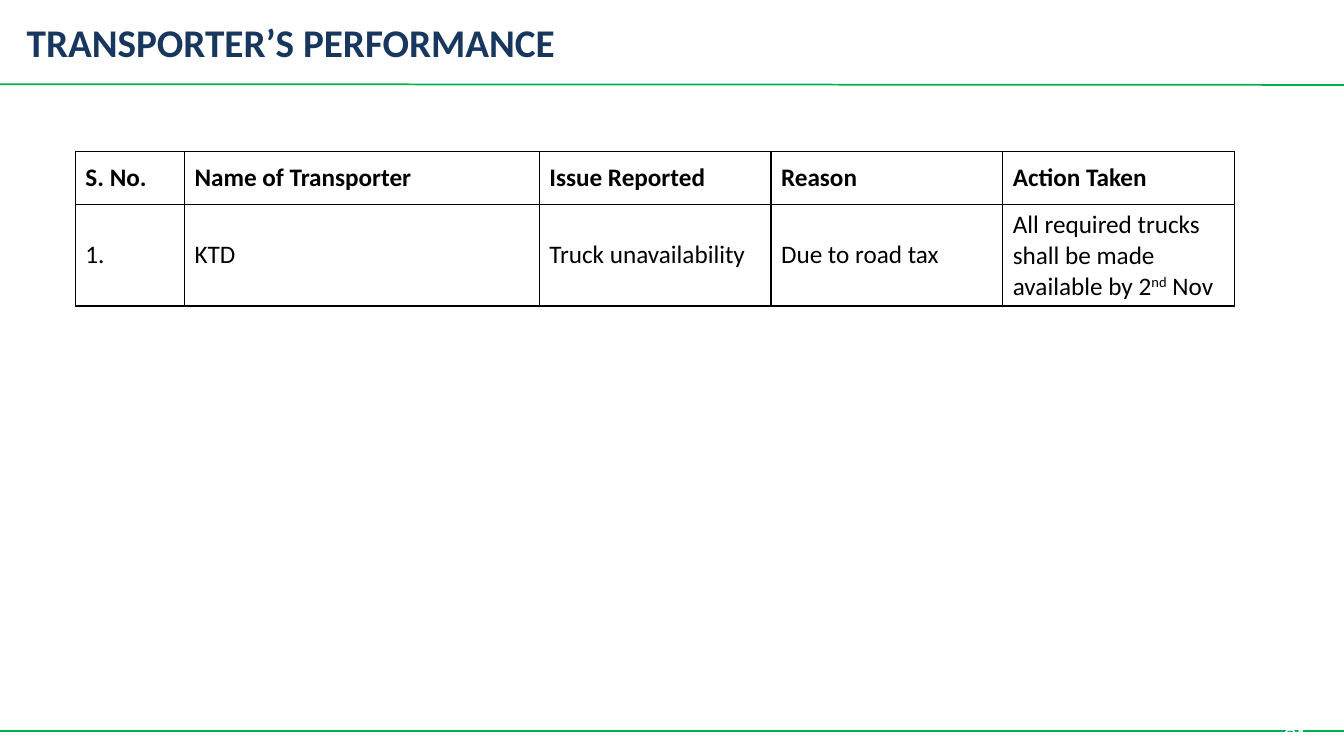
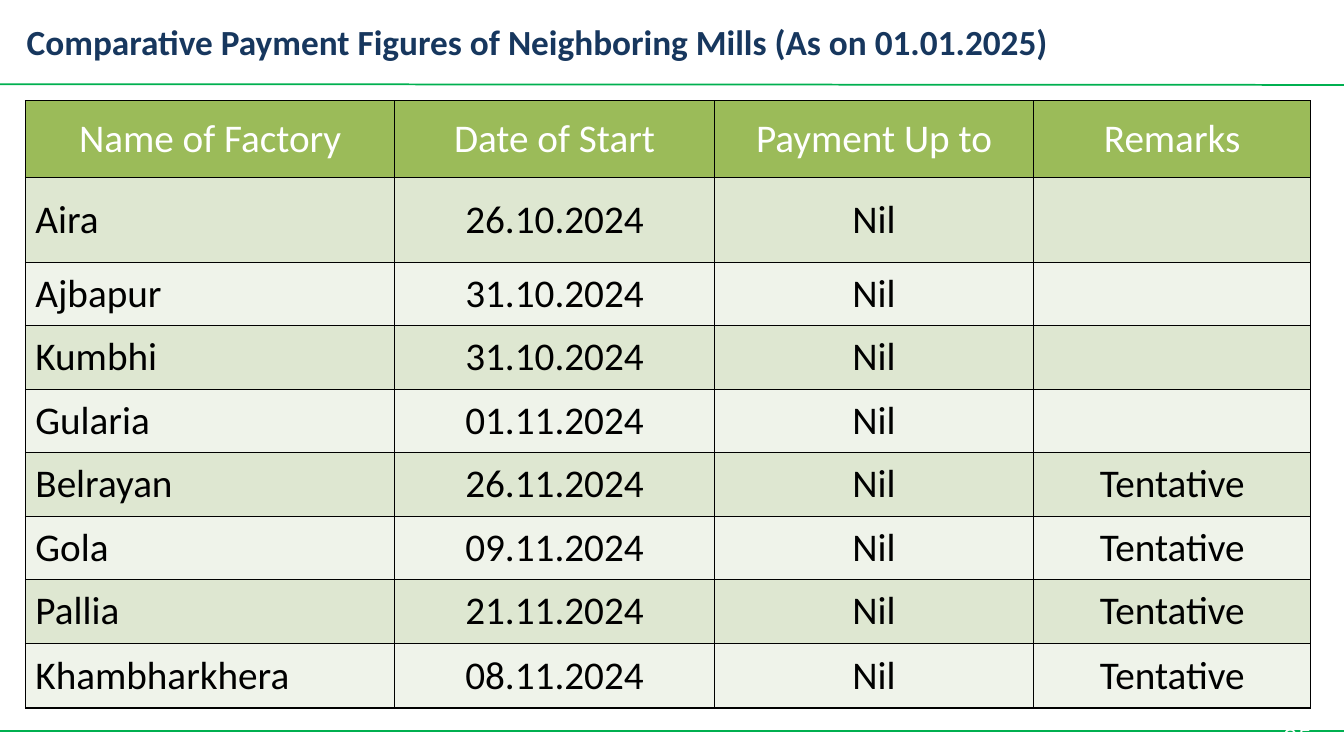
from lxml import etree
from pptx import Presentation
from pptx.dml.color import RGBColor
from pptx.enum.shapes import MSO_CONNECTOR
from pptx.enum.text import MSO_ANCHOR, MSO_AUTO_SIZE, PP_ALIGN
from pptx.oxml.ns import qn
from pptx.util import Cm, Pt

LINE = MSO_CONNECTOR.STRAIGHT
MIDDLE = MSO_ANCHOR.MIDDLE
FIXED = MSO_AUTO_SIZE.NONE
LEFT, CENTER = PP_ALIGN.LEFT, PP_ALIGN.CENTER

WIDTH, HEIGHT = 33.87, 19.05
FONT = "Calibri"
COLORS = {
    "title": "17375E",
    "rule": "00B050",
    "black": "000000",
    "white": "FFFFFF",
    "head": "9BBB59",
    "odd": "DEE7D1",
    "even": "EFF3EA",
}

ISSUES = [
    ["S. No.", "Name of Transporter", "Issue Reported", "Reason", "Action Taken"],
    ["1.", "KTD", "Truck unavailability", "Due to road tax",
     "All required trucks shall be made available by 2^nd^ Nov"],
]
MILLS = [
    ["Name of Factory", "Date of Start", "Payment Up to", "Remarks"],
    ["Aira", "26.10.2024", "Nil", ""],
    ["Ajbapur", "31.10.2024", "Nil", ""],
    ["Kumbhi", "31.10.2024", "Nil", ""],
    ["Gularia", "01.11.2024", "Nil", ""],
    ["Belrayan", "26.11.2024", "Nil", "Tentative"],
    ["Gola", "09.11.2024", "Nil", "Tentative"],
    ["Pallia", "21.11.2024", "Nil", "Tentative"],
    ["Khambharkhera", "08.11.2024", "Nil", "Tentative"],
]


def color(name):
    return RGBColor.from_string(COLORS[name])


def style(font, size, tint, bold=False, face=FONT):
    font.name, font.size, font.bold = face, Pt(size), bold
    font.color.rgb = color(tint)


def add_rule(slide, start, end):
    rule = slide.shapes.add_connector(LINE, 0, Cm(start), Cm(WIDTH), Cm(end))
    rule.line.color.rgb = color("rule")
    rule.line.width = Pt(1.25)
    etree.SubElement(rule._element.spPr, qn("a:effectLst"))


def add_slide(deck, title, size, width, number):
    """Add a slide with the shared title, rules and page number."""
    slide = deck.slides.add_slide(deck.slide_layouts[5])
    add_rule(slide, 2.12, 2.14)
    add_rule(slide, 18.42, 18.42)

    # Title
    head = slide.shapes.title
    head.left, head.top = Cm(0.42), Cm(0.2)
    head.width, head.height = Cm(width), Cm(1.7)
    frame = head.text_frame
    frame.text = title
    frame.word_wrap, frame.auto_size = True, FIXED
    frame.vertical_anchor = MIDDLE
    para = frame.paragraphs[0]
    para.alignment = LEFT
    style(para.runs[0].font, size, "title", True)

    # Page number
    box = slide.shapes.add_textbox(Cm(32.08), Cm(18.03), Cm(1.7), Cm(1.02))
    box.text_frame.word_wrap = True
    box.text_frame.text = number
    run = box.text_frame.paragraphs[0].runs[0]
    style(run.font, 18, "white", face="Karla")
    return slide


def add_border(cell):
    props = cell._tc.get_or_add_tcPr()
    for side in ("lnL", "lnR", "lnT", "lnB"):
        edge = etree.SubElement(props, qn("a:" + side), w=str(Pt(1)))
        fill = etree.SubElement(edge, qn("a:solidFill"))
        etree.SubElement(fill, qn("a:srgbClr"), val=COLORS["black"])


def fill_cell(cell, text, size, tint, bold, align):
    """Write text in a cell; parts between carets are raised."""
    cell.vertical_anchor = MIDDLE
    para = cell.text_frame.paragraphs[0]
    para.alignment = align
    style(para.font, size, tint, bold)
    for i, part in enumerate(text.split("^") if text else []):
        run = para.add_run()
        run.text = part
        style(run.font, size, tint, bold)
        if i % 2:
            run._r.get_or_add_rPr().set("baseline", "30000")


def add_grid(slide, data, left, top, cols, rows, size, banded):
    frame = slide.shapes.add_table(len(data), len(cols), Cm(left), Cm(top),
                                   Cm(sum(cols)), Cm(sum(rows)))
    table = frame.table
    table.first_row = table.horz_banding = False
    for col, width in zip(table.columns, cols):
        col.width = Cm(width)
    for r, texts in enumerate(data):
        table.rows[r].height = Cm(rows[r])
        for c, text in enumerate(texts):
            cell = table.cell(r, c)
            add_border(cell)
            if banded:
                band = "head" if r == 0 else ("even", "odd")[r % 2]
                cell.fill.solid()
                cell.fill.fore_color.rgb = color(band)
            else:
                cell.fill.background()
            tint = "white" if banded and r == 0 else "black"
            align = CENTER if banded and (r == 0 or c > 0) else LEFT
            fill_cell(cell, text, size, tint, r == 0 and not banded, align)


def main():
    deck = Presentation()
    deck.slide_width, deck.slide_height = Cm(WIDTH), Cm(HEIGHT)

    # Transporters
    slide = add_slide(deck, "TRANSPORTER’S PERFORMANCE", 28, 16.8, "21")
    add_grid(slide, ISSUES, 1.9, 3.81, [2.75, 8.94] + [5.84] * 3,
             [1.35, 2.55], 18, False)

    # Neighboring mills
    slide = add_slide(
        deck, "Comparative Payment Figures of Neighboring Mills (As on 01.01.2025)",
        25.2, 26.46, "25")
    add_grid(slide, MILLS, 0.64, 2.54, [9.31, 8.05, 8.05, 6.98],
             [1.94, 2.13] + [1.6] * 6 + [1.63], 28, True)

    deck.save("out.pptx")


if __name__ == "__main__":
    main()
